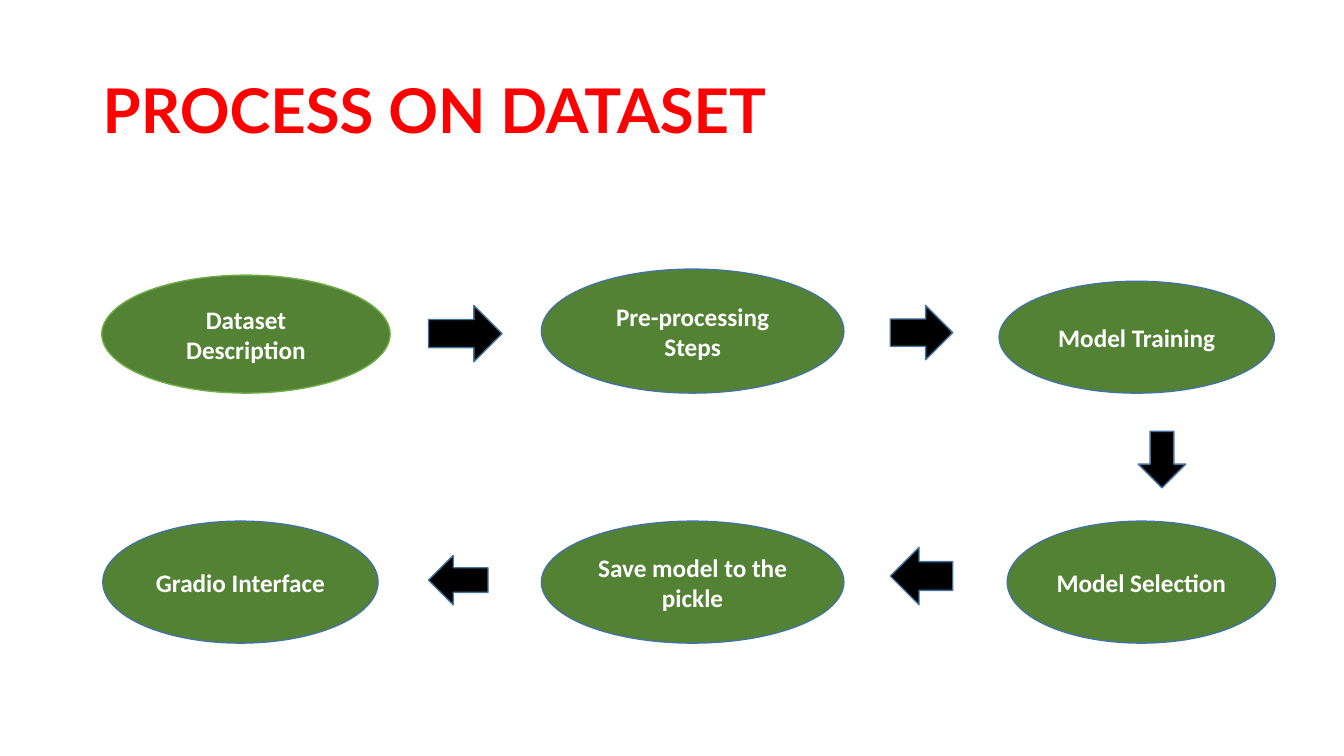
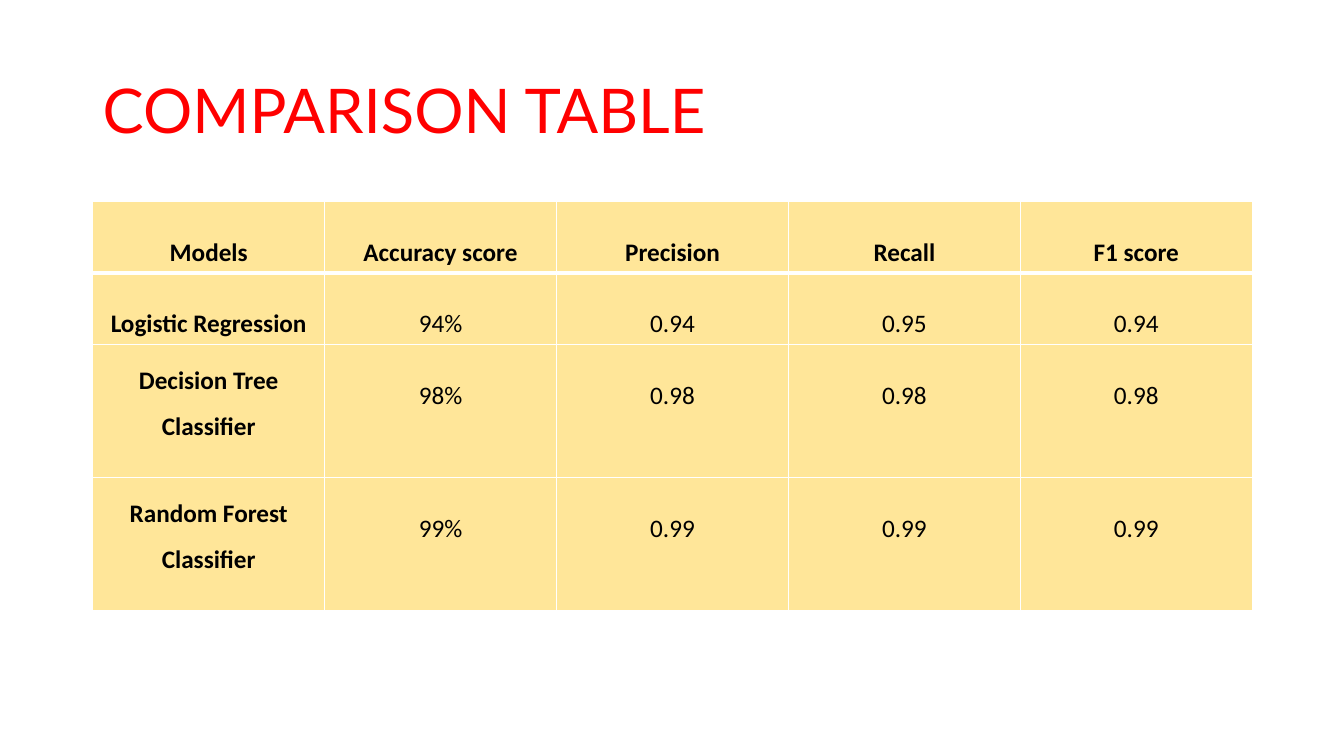
import pptx
import pptx.dml.color
import pptx.enum.shapes
import pptx.enum.text
import pptx.oxml
import pptx.oxml.ns
import pptx.util

EMU_PER_PX = 9144  # 100 px to the inch
SHAPE = pptx.enum.shapes.MSO_SHAPE
ALIGN = pptx.enum.text.PP_ALIGN
ANCHOR = pptx.enum.text.MSO_ANCHOR


def px(length):
    return pptx.util.Emu(length * EMU_PER_PX)


class Deck:
    """Holds the shared style and the slide being built."""

    colors = {
        "title": "FF0000",
        "step": "548235",
        "first_outline": "70AD47",
        "outline": "43739E",
        "arrow": "000000",
        "cell": "FFE699",
        "text": "000000",
        "white": "FFFFFF",
    }
    title_font = "Lato"
    body_font = "Calibri"
    title_size = 44
    body_size = 18

    def __init__(self):
        self.presentation = pptx.Presentation()
        self.presentation.slide_width = px(1333)
        self.presentation.slide_height = px(750)
        self.slide = None

    def color(self, name):
        return pptx.dml.color.RGBColor.from_string(self.colors[name])

    def add_slide(self, title, bold=False):
        blank = self.presentation.slide_layouts[6]
        self.slide = self.presentation.slides.add_slide(blank)
        box = self.slide.shapes.add_textbox(px(92), px(40), px(1150), px(145))
        box.text_frame.word_wrap = True
        box.text_frame.vertical_anchor = ANCHOR.MIDDLE
        paragraph = box.text_frame.paragraphs[0]
        paragraph.line_spacing = 0.9
        self.run(paragraph, title, "title", bold, self.title_font, self.title_size)

    def run(self, paragraph, text, color, bold=False, font=body_font, size=body_size):
        run = paragraph.add_run()
        run.text = text
        run.font.name = font
        run.font.size = pptx.util.Pt(size)
        run.font.bold = bold
        run.font.color.rgb = self.color(color)

    def shape(self, kind, box, fill, outline="outline"):
        shape = self.slide.shapes.add_shape(kind, *map(px, box))
        shape.shadow.inherit = False
        shape.fill.solid()
        shape.fill.fore_color.rgb = self.color(fill)
        shape.line.color.rgb = self.color(outline)
        shape.line.width = pptx.util.Pt(1)
        return shape

    def step(self, text, box, outline="outline"):
        frame = self.shape(SHAPE.OVAL, box, "step", outline).text_frame
        frame.word_wrap = True
        frame.vertical_anchor = ANCHOR.MIDDLE
        paragraph = frame.paragraphs[0]
        paragraph.alignment = ALIGN.CENTER
        self.run(paragraph, text, "white", bold=True)

    def arrow(self, kind, box):
        self.shape(kind, box, "arrow")

    def borders(self, cell, widths):
        properties = cell._tc.get_or_add_tcPr()
        namespace = pptx.oxml.ns.nsdecls("a")
        for side, width in widths.items():
            properties.append(pptx.oxml.parse_xml(
                f'<a:ln{side} {namespace} w="{pptx.util.Pt(width)}"><a:solidFill>'
                f'<a:srgbClr val="{self.colors["white"]}"/></a:solidFill></a:ln{side}>'))

    def table(self, left, top, column_width, row_heights, rows):
        columns = len(rows[0])
        table = self.slide.shapes.add_table(
            len(rows), columns, px(left), px(top),
            px(column_width * columns), px(sum(row_heights))).table
        for column in table.columns:
            column.width = px(column_width)
        for row_index, values in enumerate(rows):
            table.rows[row_index].height = px(row_heights[row_index])
            for column_index, value in enumerate(values):
                cell = table.cell(row_index, column_index)
                # The header is ruled off by a heavier line
                self.borders(cell, {"L": 1, "R": 1,
                                    "T": 3 if row_index == 1 else 1,
                                    "B": 3 if row_index == 0 else 1})
                cell.fill.solid()
                cell.fill.fore_color.rgb = self.color("cell")
                paragraph = cell.text_frame.paragraphs[0]
                paragraph.alignment = ALIGN.CENTER
                # Two-line model names are set tighter
                two_lines = column_index == 0 and row_index > 1
                paragraph.line_spacing = 1.5 if two_lines else 2.0
                self.run(paragraph, value, "text",
                         bold=row_index == 0 or column_index == 0)


def process_slide(deck):
    deck.add_slide("PROCESS ON DATASET", bold=True)

    # Upper row, left to right
    deck.step("Dataset Description", (101, 273, 286, 117), "first_outline")
    deck.arrow(SHAPE.RIGHT_ARROW, (425, 303, 73, 56))
    deck.step("Pre-processing Steps", (537, 267, 300, 123))
    deck.arrow(SHAPE.RIGHT_ARROW, (883, 303, 62, 54))
    deck.step("Model Training", (991, 279, 273, 111))
    deck.arrow(SHAPE.DOWN_ARROW, (1129, 428, 47, 56))

    # Lower row, right to left
    row_top, row_height = 517, 121
    for text, left, width in (
        ("Model Selection", 999, 266),
        ("Save model to the pickle", 537, 300),
        ("Gradio Interface", 102, 273),
    ):
        deck.step(text, (left, row_top, width, row_height))
    deck.arrow(SHAPE.LEFT_ARROW, (883, 543, 62, 57))
    deck.arrow(SHAPE.LEFT_ARROW, (425, 551, 59, 49))


def comparison_slide(deck):
    deck.add_slide("COMPARISON TABLE")
    deck.table(92, 200, 230, (71, 71, 132, 132), (
        ("Models", "Accuracy score", "Precision", "Recall", "F1 score"),
        ("Logistic Regression", "94%", "0.94", "0.95", "0.94"),
        ("Decision Tree Classifier", "98%", "0.98", "0.98", "0.98"),
        ("Random Forest Classifier", "99%", "0.99", "0.99", "0.99"),
    ))


def main():
    deck = Deck()
    process_slide(deck)
    comparison_slide(deck)
    deck.presentation.save("out.pptx")


if __name__ == "__main__":
    main()
